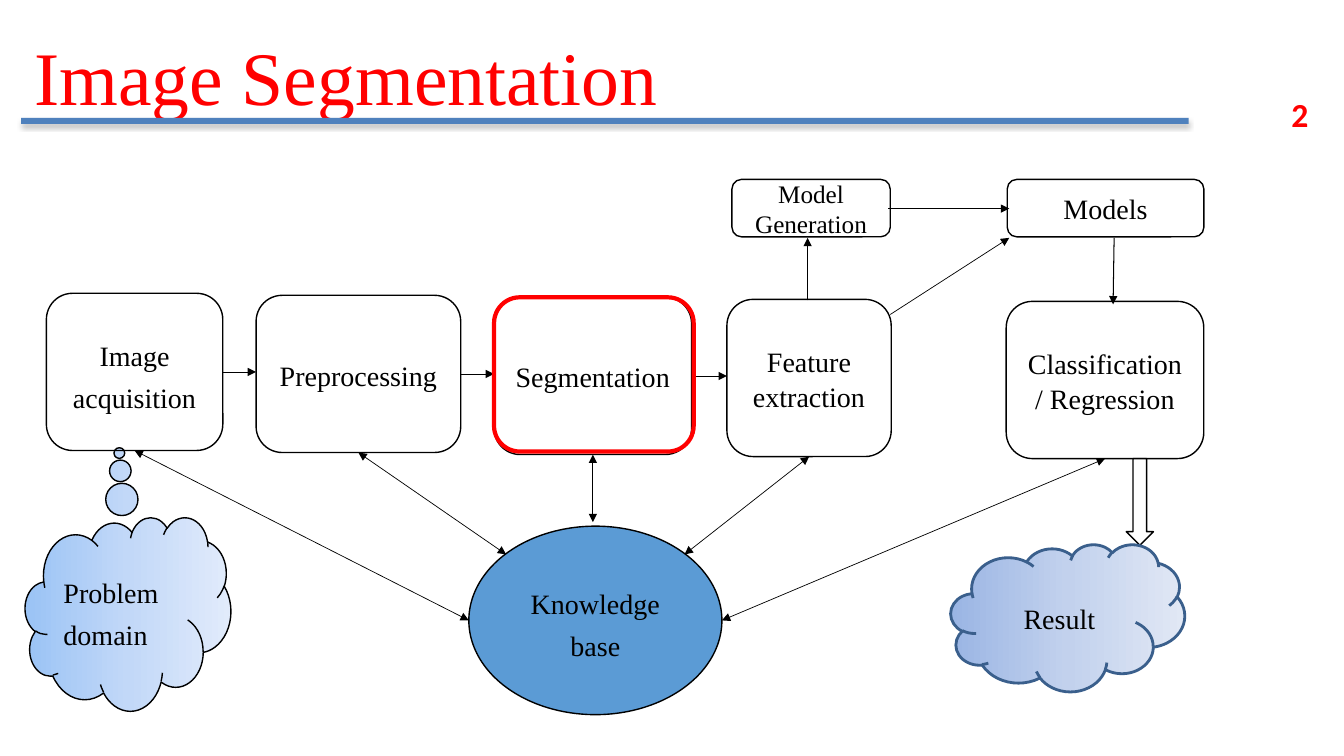
from copy import deepcopy
from dataclasses import dataclass

from lxml import etree
from pptx import Presentation
from pptx.dml.color import RGBColor
from pptx.enum.shapes import MSO_CONNECTOR, MSO_SHAPE
from pptx.enum.text import MSO_ANCHOR, MSO_AUTO_SIZE, PP_ALIGN
from pptx.oxml.ns import qn
from pptx.util import Inches, Pt

STRAIGHT = MSO_CONNECTOR.STRAIGHT
BAR, ROUNDED, OVAL = MSO_SHAPE.RECTANGLE, MSO_SHAPE.ROUNDED_RECTANGLE, MSO_SHAPE.OVAL
CLOUD, CALLOUT, DOWN = MSO_SHAPE.CLOUD, MSO_SHAPE.CLOUD_CALLOUT, MSO_SHAPE.DOWN_ARROW
TOP, MIDDLE = MSO_ANCHOR.TOP, MSO_ANCHOR.MIDDLE
LEFT, CENTER, JUSTIFY = PP_ALIGN.LEFT, PP_ALIGN.CENTER, PP_ALIGN.JUSTIFY
TITLE_ONLY = 5


@dataclass(frozen=True)
class Theme:
    serif: str = "Times New Roman"
    sans: str = "Calibri"
    ink: str = "000000"
    paper: str = "FFFFFF"
    accent: str = "FF0000"
    bar: str = "4F81BD"
    hub: str = "5B9BD5"
    cloud_line: str = "3A5F8C"
    problem: tuple = ("9AC3F5", "C2D8F8", "E1EBFB")
    result: tuple = ("9AB5E4", "C2D1ED", "E1E8F5")
    title_size: int = 54
    number_size: int = 24
    body_size: int = 20
    small_size: int = 18


class Board:
    """Draws on one slide; lengths are columns and rows of a 0.1 inch grid."""

    def __init__(self, slide, theme):
        self.slide, self.theme = slide, theme

    def cells(self, *lengths):
        return [Inches(length / 10) for length in lengths]

    def put_text(self, frame, words, size, font, color, align=CENTER, bold=False,
                 spacing=None, after=None):
        paragraph = frame.paragraphs[0]
        paragraph.alignment = align
        if spacing:
            paragraph.line_spacing = spacing
        if after:
            paragraph.space_after = Pt(after)
        run = paragraph.add_run()
        run.text = words
        run.font.size, run.font.name, run.font.bold = Pt(size), font, bold
        run.font.color.rgb = RGBColor.from_string(color)

    def title(self, words, box):
        heading = self.slide.shapes.title
        heading.left, heading.top, heading.width, heading.height = self.cells(*box)
        frame = heading.text_frame
        frame.auto_size, frame.vertical_anchor = MSO_AUTO_SIZE.NONE, TOP
        frame.margin_top, frame.margin_bottom = self.cells(1.4, 0)
        self.put_text(frame, words, self.theme.title_size, self.theme.serif,
                      self.theme.accent, LEFT)

    def number(self, digits, box):
        frame = self.slide.shapes.add_textbox(*self.cells(*box)).text_frame
        frame.word_wrap = False
        self.put_text(frame, digits, self.theme.number_size, self.theme.sans,
                      self.theme.accent, LEFT, bold=True)

    def shape(self, kind, box, words=None, fill=None, line="000000", weight=1,
              size=None, **layout):
        shape = self.slide.shapes.add_shape(kind, *self.cells(*box))
        shape.shadow.inherit = False
        if isinstance(fill, tuple):
            self.blend(shape, fill)
        elif fill:
            shape.fill.solid()
            shape.fill.fore_color.rgb = RGBColor.from_string(fill)
        else:
            shape.fill.background()
        if line:
            shape.line.color.rgb = RGBColor.from_string(line)
            shape.line.width = Pt(weight)
        else:
            shape.line.fill.background()
        if words:
            frame = shape.text_frame
            frame.word_wrap, frame.vertical_anchor = True, MIDDLE
            self.put_text(frame, words, size or self.theme.body_size,
                          self.theme.serif, self.theme.ink, **layout)
        return shape

    def blend(self, shape, colors):
        shape.fill.gradient()
        shape.fill.gradient_angle = 0
        stops = shape._element.spPr.find(".//" + qn("a:gsLst"))
        stops.append(deepcopy(stops[-1]))
        for stop, position, color in zip(shape.fill.gradient_stops, (0, 0.5, 1), colors):
            stop.position = position
            stop.color.rgb = RGBColor.from_string(color)

    def rule(self, box):
        bar = self.shape(BAR, box, fill=self.theme.bar, line=None)
        effects = bar._element.spPr.find(qn("a:effectLst"))
        shadow = etree.SubElement(effects, qn("a:outerShdw"), blurRad=str(Pt(3.5)),
                                  dist=str(Pt(2.2)), dir="5400000", rotWithShape="0")
        black = etree.SubElement(shadow, qn("a:srgbClr"), val=self.theme.ink)
        etree.SubElement(black, qn("a:alpha"), val="32000")

    def arrow(self, start, end, weight=0.5, both=False):
        link = self.slide.shapes.add_connector(STRAIGHT, *self.cells(*start, *end))
        link.line.color.rgb = RGBColor.from_string(self.theme.ink)
        link.line.width = Pt(weight)
        outline = link._element.spPr.find(qn("a:ln"))
        for tag in ("a:headEnd", "a:tailEnd") if both else ("a:tailEnd",):
            etree.SubElement(outline, qn(tag), type="triangle")
        etree.SubElement(link._element.spPr, qn("a:effectLst"))


def main():
    deck = Presentation()
    deck.slide_width, deck.slide_height = Inches(13.33), Inches(7.5)
    theme = Theme()
    board = Board(deck.slides.add_slide(deck.slide_layouts[TITLE_ONLY]), theme)

    # Heading
    board.rule((2.1, 11.7, 115.8, 0.6))
    board.number("2", (127.1, 8.8, 5.9, 5))
    board.title("Image Segmentation", (2.4, 1.6, 102.1, 9.4))

    # Problem domain, with its bubbles rising to the first stage
    problem = board.shape(CALLOUT, (2.5, 51.3, 20.4, 19.2), "Problem domain",
                          theme.problem, align=JUSTIFY, spacing=1.25)
    problem.adjustments[0], problem.adjustments[1] = -0.042, -0.831

    # Processing stages, each a little lower than the one before
    stages = [
        ("Image acquisition", 4.6, 17.5, 1.25, None),
        ("Preprocessing", 25.4, 20.3, 1.06, 8),
        ("Segmentation", 49, 19.6, 1.05, 8),
        ("Feature extraction", 72.1, 16.3, 1.05, 8),
        ("Classification / Regression", 99.8, 19.6, 1.05, 8),
    ]
    first_top, step, stage_height = 29.1, 0.2, 15.6
    feet = []
    for index, (name, left, width, spacing, after) in enumerate(stages):
        top = first_top + step * index
        board.shape(ROUNDED, (left, top, width, stage_height), name,
                    spacing=spacing, after=after)
        feet.append((left + width / 2, top + stage_height))
        if index < 3:
            middle = top + stage_height / 2
            board.arrow((left + width, middle), (stages[index + 1][1], middle))

    # Knowledge base, linked both ways with every stage
    hub_left, hub_top, hub_width, hub_height = hub = (46.5, 52.2, 25.1, 18.7)
    board.shape(OVAL, hub, "Knowledge base", theme.hub, spacing=1.25)
    hub_right, hub_middle = hub_left + hub_width, hub_top + hub_height / 2
    corner = hub_top + 2.8
    hub_ends = [(hub_left, hub_middle), (50.2, corner), (58.8, 51.8),
                (67.9, corner), (hub_right, hub_middle)]
    for foot, end in zip(feet, hub_ends):
        board.arrow(foot, end, both=True)

    # Result
    board.shape(DOWN, (111.7, 45.5, 2.7, 8.6), fill=theme.paper)
    board.shape(CLOUD, (94.3, 54, 23.2, 14.6), "Result", theme.result,
                theme.cloud_line, 2, spacing=1.25)

    # Model branch
    model_top, model_height = 17.8, 5.7
    board.shape(ROUNDED, (72.6, model_top, 15.7, model_height), "Model Generation",
                theme.paper, size=theme.small_size)
    board.shape(ROUNDED, (99.9, model_top, 19.5, model_height), "Models", theme.paper)
    board.arrow((88.1, 20.7), (100.1, 20.7))
    board.arrow((88.3, 31.2), (100.1, 23.6))
    board.arrow((80.1, 29.8), (80.1, 23.6), weight=0.75)
    board.arrow((110.5, 23.6), (110.4, 30.2), weight=0.75)

    # Highlight around the current stage
    board.shape(ROUNDED, (49, 29.5, 19.8, 15.3), line=theme.accent, weight=3)

    deck.save("out.pptx")


if __name__ == "__main__":
    main()
